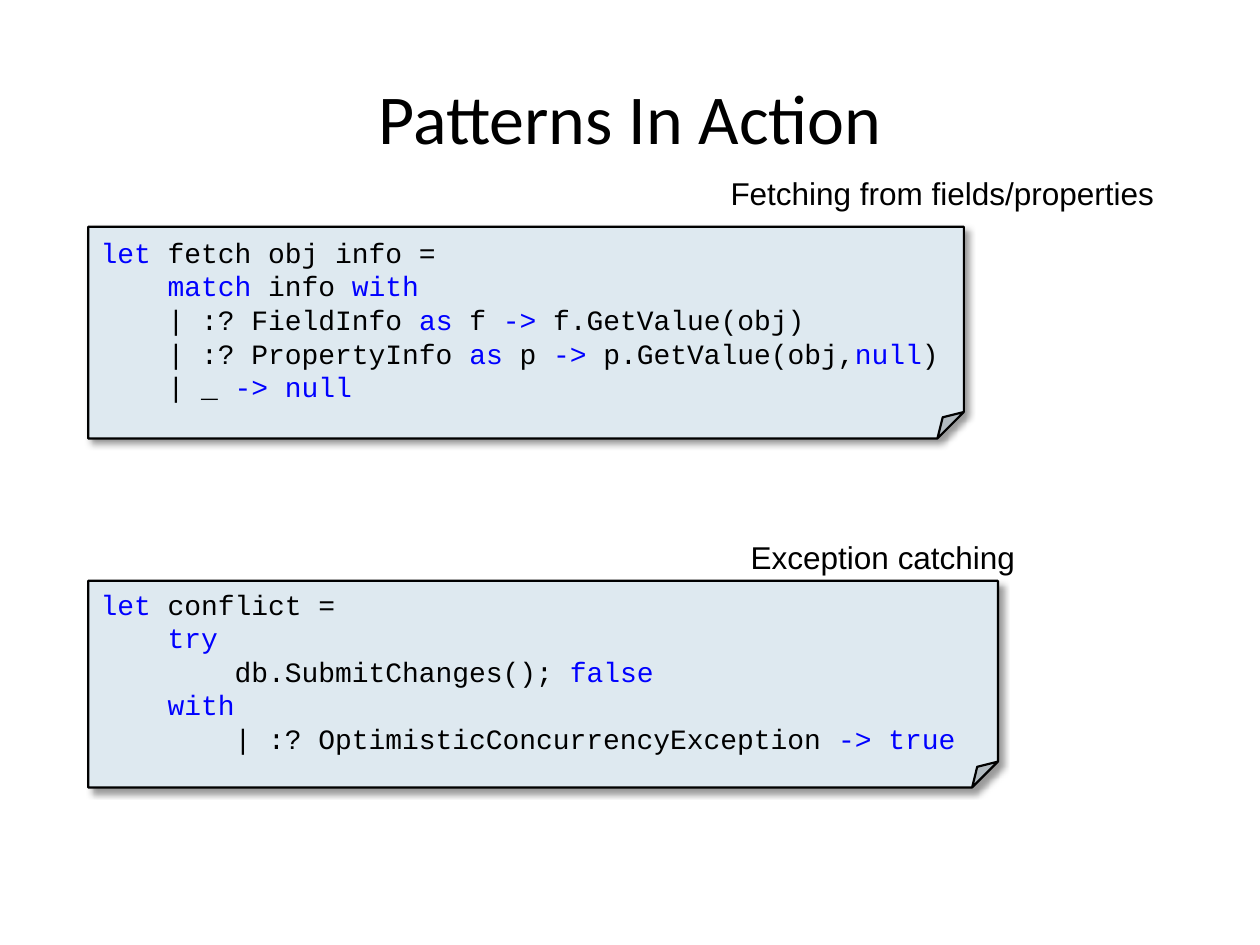
"""Build the slide on pattern matching in action."""
from dataclasses import dataclass

from lxml import etree
from pptx import Presentation
from pptx.dml.color import RGBColor
from pptx.enum import shapes, text
from pptx.util import Inches, Pt

BLACK, BLUE, PALE = "000000", "0000FF", "DEE9F0"
MARK = "`"
SPACE = 'xmlns:a="http://schemas.openxmlformats.org/drawingml/2006/main"'
FOLD = f'<a:gd {SPACE} name="adj" fmla="val 12500"/>'
SHADOW = (
    f'<a:outerShdw {SPACE} blurRad="50800" dist="38100" dir="2700000"'
    ' algn="tl" rotWithShape="0">'
    '<a:srgbClr val="000000"><a:alpha val="40000"/></a:srgbClr></a:outerShdw>'
)


@dataclass
class Label:
    words: str
    left: float
    top: float
    width: float


@dataclass
class Code:
    top: float
    width: float
    height: float
    lines: list[str]


LABELS = [
    Label("Fetching from fields/properties", 5.7, 1.33, 3.6),
    Label("Exception catching", 5.86, 4.22, 2.32),
]
CODES = [
    Code(1.8, 6.95, 1.68, [
        "`let` fetch obj info =",
        "    `match` info `with`",
        "    | :? FieldInfo `as` f `-> `f.GetValue(obj)",
        "    | :? PropertyInfo `as` p `-> `p.GetValue(obj,`null`)",
        "    | _ `-> null`",
    ]),
    Code(4.61, 7.22, 1.64, [
        "`let` conflict =",
        "    `try`",
        "        db.SubmitChanges(); `false`",
        "    `with`",
        "        | :? OptimisticConcurrencyException `-> true`",
    ]),
]


def paint(color, tint: str) -> None:
    color.rgb = RGBColor.from_string(tint)


def style(font, name: str, size: int, tint: str = BLACK) -> None:
    font.name, font.size = name, Pt(size)
    paint(font.color, tint)


def fit(frame) -> None:
    frame.word_wrap = False
    frame.auto_size = text.MSO_AUTO_SIZE.SHAPE_TO_FIT_TEXT


def draw_title(slide, words: str) -> None:
    title = slide.shapes.title
    title.left, title.top = Inches(0.5), Inches(0.3)
    title.width, title.height = Inches(9), Inches(1.25)
    frame = title.text_frame
    frame.text = words
    frame.vertical_anchor = text.MSO_ANCHOR.MIDDLE
    frame.paragraphs[0].alignment = text.PP_ALIGN.CENTER
    style(frame.paragraphs[0].runs[0].font, "Calibri", 40)


def draw_label(slide, label: Label) -> None:
    box = slide.shapes.add_textbox(
        Inches(label.left), Inches(label.top), Inches(label.width), Inches(0.4))
    frame = box.text_frame
    frame.text = label.words
    fit(frame)
    style(frame.paragraphs[0].runs[0].font, "Arial", 18)


def draw_line(para, line: str) -> None:
    para.alignment = text.PP_ALIGN.LEFT
    for i, part in enumerate(line.split(MARK)):
        if part:
            run = para.add_run()
            run.text = part
            style(run.font, "Courier New", 16, BLUE if i % 2 else BLACK)


def draw_code(slide, code: Code) -> None:
    note = slide.shapes.add_shape(
        shapes.MSO_SHAPE.FOLDED_CORNER, Inches(0.7), Inches(code.top),
        Inches(code.width), Inches(code.height))
    note.fill.solid()
    paint(note.fill.fore_color, PALE)
    paint(note.line.color, BLACK)
    note.line.width = Pt(1.25)
    note.shadow.inherit = False
    props = note.element.spPr
    props.find("{*}prstGeom/{*}avLst").append(etree.fromstring(FOLD))
    props.find("{*}effectLst").append(etree.fromstring(SHADOW))
    frame = note.text_frame
    frame.vertical_anchor = text.MSO_ANCHOR.MIDDLE
    fit(frame)
    for i, line in enumerate(code.lines):
        draw_line(frame.add_paragraph() if i else frame.paragraphs[0], line)


def main() -> None:
    deck = Presentation()
    deck.slide_width, deck.slide_height = Inches(10), Inches(7.5)
    slide = deck.slides.add_slide(deck.slide_layouts[5])
    draw_title(slide, "Patterns In Action")
    for code in CODES:
        draw_code(slide, code)
    for label in LABELS:
        draw_label(slide, label)
    deck.save("out.pptx")


if __name__ == "__main__":
    main()
